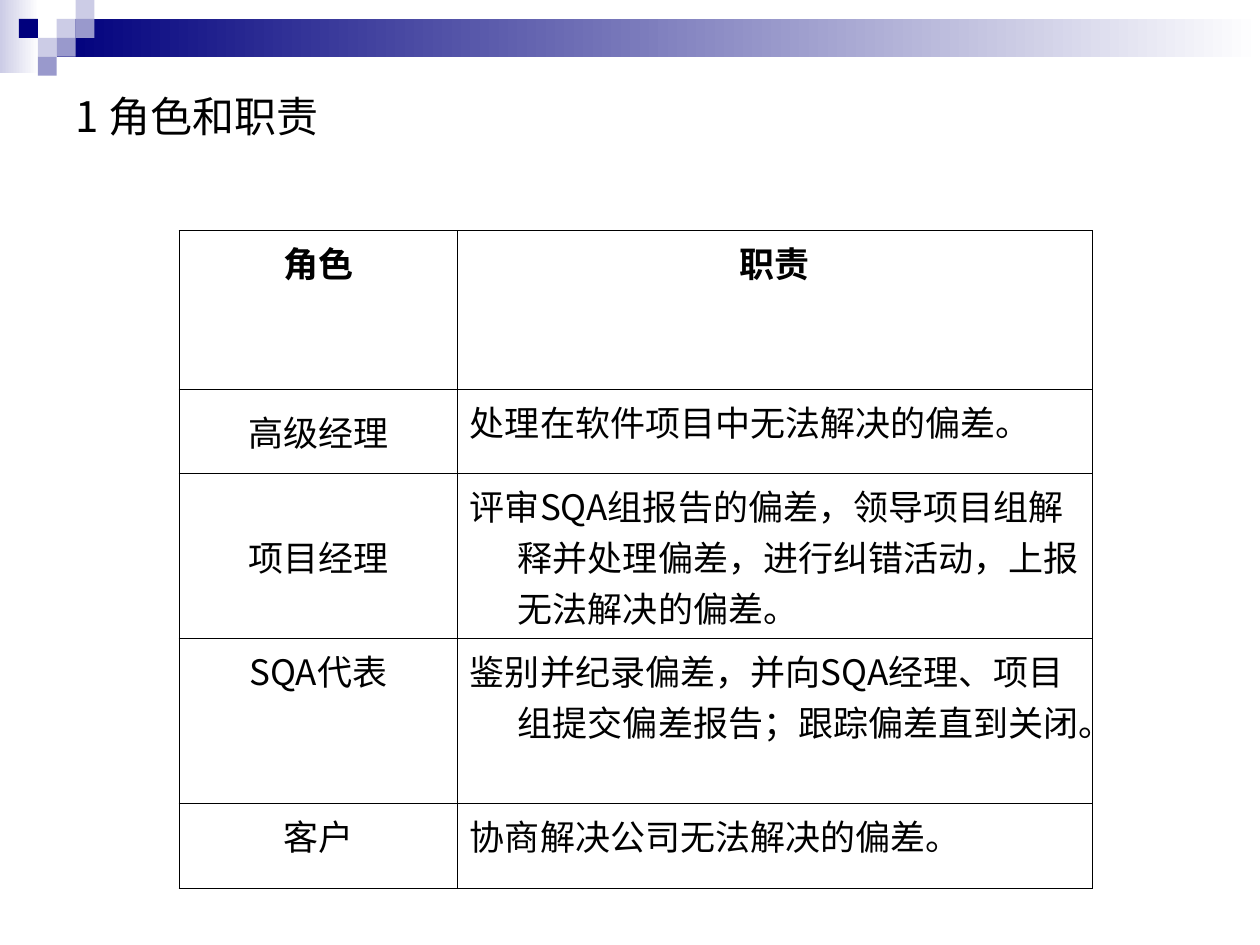
import pptx
import pptx.util
import pptx.dml.color
import pptx.enum.shapes
import pptx.enum.text
import pptx.oxml
from pptx.oxml.ns import qn
from pptx.util import Inches

FONT = "Noto Sans CJK SC"
COLOURS = {
    "navy": "00007D",
    "lavender": "CCCCE6",
    "violet": "9999CC",
    "white": "FFFFFF",
    "black": "000000",
}
SQUARE = 0.15
# (column, row, colour) on a grid of small squares
MOSAIC = [
    (3, 1, "lavender"), (4, 0, "lavender"), (4, 1, "violet"),
    (2, 2, "lavender"), (1, 1, "navy"), (3, 2, "violet"), (2, 3, "violet"),
]
ROLES = [
    ("角色", "职责"),
    ("高级经理", "处理在软件项目中无法解决的偏差。"),
    ("项目经理", "评审SQA组报告的偏差，领导项目组解释并处理偏差，进行纠错活动，上报无法解决的偏差。"),
    ("SQA代表", "鉴别并纪录偏差，并向SQA经理、项目组提交偏差报告；跟踪偏差直到关闭。"),
    ("客户", "协商解决公司无法解决的偏差。"),
]
COLUMN_WIDTHS = [2.21, 5.04]
# The two tall rows hold three lines of text each
ROW_HEIGHTS = [1.26, 0.67, 1.31, 1.31, 0.67]
MIDDLE_ROWS = (1, 2)
HANGING_INDENT = 0.38


def rgb(name):
    return pptx.dml.color.RGBColor.from_string(COLOURS[name])


def add_block(slide, left, top, width, height, start, end=None):
    """Add a borderless rectangle, fading to the end colour if there is one."""
    block = slide.shapes.add_shape(
        pptx.enum.shapes.MSO_SHAPE.RECTANGLE,
        Inches(left), Inches(top), Inches(width), Inches(height))
    block.shadow.inherit = False
    block.line.fill.background()
    if end is None:
        block.fill.solid()
        block.fill.fore_color.rgb = rgb(start)
        return
    block.fill.gradient()
    block.fill.gradient_angle = 0
    for stop, colour in zip(block.fill.gradient_stops, (start, end)):
        stop.color.rgb = rgb(colour)


def write(text_frame, text, size, bold=False):
    text_frame.text = text
    paragraph = text_frame.paragraphs[0]
    for run in paragraph.runs:
        run.font.name = FONT
        run.font.size = pptx.util.Pt(size)
        run.font.bold = bold
        run.font.color.rgb = rgb("black")
        east_asian = pptx.oxml.parse_xml(
            '<a:ea xmlns:a="http://schemas.openxmlformats.org/drawingml/2006/main" '
            f'typeface="{FONT}"/>')
        run.font._element.find(qn("a:latin")).addnext(east_asian)
    return paragraph


def add_borders(cell):
    properties = cell._tc.get_or_add_tcPr()
    for position, side in enumerate(("lnL", "lnR", "lnT", "lnB")):
        properties.insert(position, pptx.oxml.parse_xml(
            f'<a:{side} xmlns:a="http://schemas.openxmlformats.org/drawingml/2006/main" '
            f'w="{pptx.util.Pt(0.45)}"><a:solidFill><a:srgbClr val="{COLOURS["black"]}"/>'
            f'</a:solidFill></a:{side}>'))


def add_banner(slide):
    add_block(slide, 0, 0, 0.31, 0.58, "lavender", "white")
    add_block(slide, 0.45, 0.15, 9.55, 0.3, "navy", "white")
    for column, row, colour in MOSAIC:
        add_block(slide, column * SQUARE, row * SQUARE, SQUARE, SQUARE, colour)


def add_title(slide):
    title = slide.shapes.add_textbox(
        Inches(0.5), Inches(0.67), Inches(4.42), Inches(0.67))
    title.text_frame.word_wrap = True
    write(title.text_frame, "1 角色和职责", 24)


def add_role_table(slide):
    table = slide.shapes.add_table(
        len(ROLES), len(COLUMN_WIDTHS), Inches(1.42), Inches(1.83),
        Inches(sum(COLUMN_WIDTHS)), Inches(sum(ROW_HEIGHTS))).table
    table.horz_banding = False
    for column, width in zip(table.columns, COLUMN_WIDTHS):
        column.width = Inches(width)
    for row, height in zip(table.rows, ROW_HEIGHTS):
        row.height = Inches(height)
    for r, texts in enumerate(ROLES):
        for c, text in enumerate(texts):
            cell = table.cell(r, c)
            cell.fill.background()
            add_borders(cell)
            paragraph = write(cell.text_frame, text, 20, bold=r == 0)
            centred = r == 0 or c == 0
            paragraph.alignment = (pptx.enum.text.PP_ALIGN.CENTER if centred
                                   else pptx.enum.text.PP_ALIGN.LEFT)
            indents = paragraph._p.get_or_add_pPr()
            indents.set("marL", str(Inches(HANGING_INDENT)))
            indents.set("indent", str(-Inches(HANGING_INDENT)))
            if c == 0 and r in MIDDLE_ROWS:
                cell.vertical_anchor = pptx.enum.text.MSO_ANCHOR.MIDDLE


def main():
    presentation = pptx.Presentation()
    presentation.slide_width = Inches(10)
    presentation.slide_height = Inches(7.5)
    slide = presentation.slides.add_slide(presentation.slide_layouts[6])
    add_banner(slide)
    add_title(slide)
    add_role_table(slide)
    presentation.save("out.pptx")


if __name__ == "__main__":
    main()
